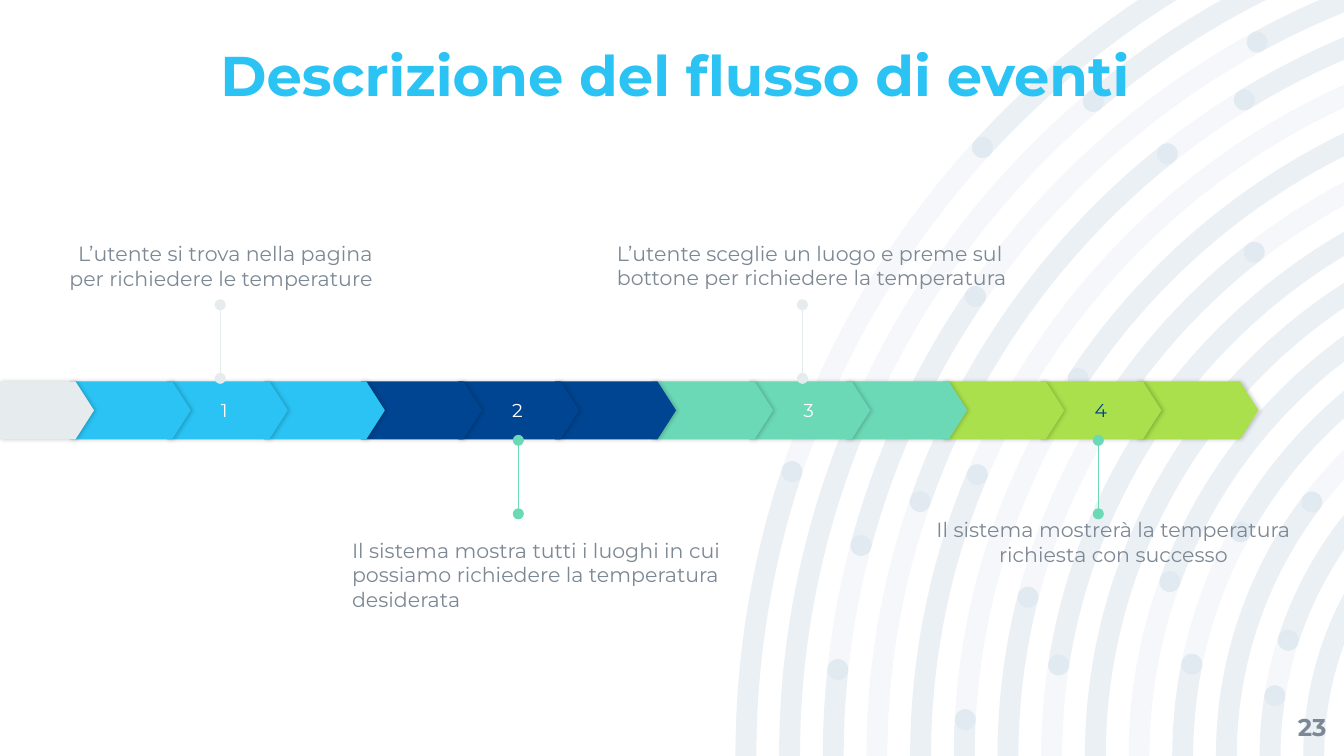
import dataclasses
import math

import pptx
import pptx.dml.color
import pptx.enum.shapes
import pptx.enum.text
import pptx.oxml
import pptx.oxml.ns
import pptx.util

Pt = pptx.util.Pt
ALIGN = pptx.enum.text.PP_ALIGN
ANCHOR = pptx.enum.text.MSO_ANCHOR
SHAPE = pptx.enum.shapes.MSO_SHAPE


@dataclasses.dataclass(frozen=True)
class Theme:
    font: str = "Montserrat"
    sky: str = "2AC3F3"
    navy: str = "004591"
    mint: str = "6BD8B6"
    lime: str = "A9E04B"
    mist: str = "E6ECEE"
    grey: str = "7C8894"
    white: str = "FFFFFF"
    title_size: float = 30
    number_size: float = 13
    label_size: float = 11
    step_size: float = 10


@dataclasses.dataclass(frozen=True)
class Box:
    left: float
    top: float
    width: float
    height: float

    def lengths(self):
        return Pt(self.left), Pt(self.top), Pt(self.width), Pt(self.height)


THEME = Theme()

RING_CENTRE = (882, 405)
RING_RADIUS, RING_STEP, RING_WIDTH, RING_COUNT = 482.4, 23.4, 11.2, 14
EDGE = 90
# Ring, start and end in degrees above the bottom edge; 0 and EDGE run off the page.
STRANDS = [
    (0, 0, 18.4), (0, 42.5, EDGE), (1, 0, 23.9), (1, 49.8, EDGE),
    (2, 0, 6.1), (2, 15, 34.4), (2, 61.4, EDGE),
    (3, 19.3, 51.5), (3, 58.5, EDGE), (4, 0, 22.8),
    (5, 0, 3.05), (5, 33.6, EDGE), (6, 0, 14.4), (6, 34.3, 52.1),
    (7, 8.8, EDGE), (8, 0, EDGE), (9, 20.1, EDGE),
    (10, 0, 11.4), (10, 28.9, EDGE), (11, 0, 37.2),
    (12, 0, 9.2), (12, 17.9, EDGE), (13, 0, EDGE),
]

CHEVRON_STEP, CHEVRON_WIDTH = 52, 64.8
# Fill, number colour, stem x, stem colour, label box, alignment, anchor, label.
STEPS = [
    (THEME.sky, THEME.white, 118, THEME.mist, Box(35.3, 103, 164.5, 52.6),
     ALIGN.RIGHT, ANCHOR.BOTTOM,
     "L’utente si trova nella pagina per richiedere le temperature"),
    (THEME.navy, THEME.white, 277.7, THEME.mint, Box(188.6, 288, 203, 41.8),
     ALIGN.LEFT, ANCHOR.TOP,
     "Il sistema mostra tutti i luoghi in cui possiamo richiedere la temperatura desiderata"),
    (THEME.mint, THEME.white, 429.9, THEME.mist, Box(330.5, 129, 230.4, 41.8),
     ALIGN.LEFT, ANCHOR.TOP,
     "L’utente sceglie un luogo e preme sul bottone per richiedere la temperatura"),
    (THEME.lime, THEME.navy, 588.4, THEME.mint, Box(481.7, 277.2, 229.7, 52.6),
     ALIGN.CENTER, ANCHOR.TOP,
     "Il sistema mostrerà la temperatura richiesta con successo"),
]


def colour(value):
    return pptx.dml.color.RGBColor.from_string(value)


def add_xml(parent, tag, content="", **attributes):
    values = "".join(f' {key}="{value}"' for key, value in attributes.items())
    parent.append(pptx.oxml.parse_xml(
        f'<a:{tag} {pptx.oxml.ns.nsdecls("a")}{values}>{content}</a:{tag}>'))


def write(shape, text, size, ink, align, anchor, bold=False, inset=0):
    frame = shape.text_frame
    frame.word_wrap = True
    frame.auto_size = pptx.enum.text.MSO_AUTO_SIZE.NONE
    frame.vertical_anchor = anchor
    frame.margin_left = Pt(inset)
    frame.margin_top = frame.margin_right = frame.margin_bottom = 0
    para = frame.paragraphs[0]
    para.alignment = align
    span = para.add_run()
    span.text = text
    span.font.name = THEME.font
    span.font.size = Pt(size)
    span.font.bold = bold
    span.font.color.rgb = colour(ink)
    return para


def on_circle(centre, radius, angle):
    """A point on a circle; 0 degrees is left and 90 is up."""
    turn = math.radians(angle)
    return centre[0] - radius * math.cos(turn), centre[1] - radius * math.sin(turn)


def ring_radius(ring):
    return RING_RADIUS - RING_STEP * ring


def ring_point(ring, angle):
    return on_circle(RING_CENTRE, ring_radius(ring), angle)


def strand_outline(box, ring, start, end):
    """Arcs around part of a ring, round where it ends inside the box."""
    half = RING_WIDTH / 2
    outer, inner = ring_radius(ring) + half, ring_radius(ring) - half
    right = box.left + box.width
    across = RING_CENTRE[0] - right

    def limit(radius):
        leave_top = math.asin(min(1, box.height / radius))
        leave_right = math.acos(across / radius)
        return min(end, math.degrees(min(leave_top, leave_right)))

    arcs = [(RING_CENTRE, outer, start, limit(outer))]
    if end < EDGE:
        arcs.append((ring_point(ring, end), half, end, end + 180))
    elif inner < math.hypot(across, box.height) < outer:
        arcs.append(((right, box.top), 0, 0, 0))
    arcs.append((RING_CENTRE, inner, limit(inner), start))
    if start > 0:
        arcs.append((ring_point(ring, start), half, start + 180, start + 360))
    return arcs


def dot_outline(ring, angle):
    centre = ring_point(ring, angle)
    return [(centre, RING_WIDTH / 2, turn, turn + 180) for turn in (0, 180)]


def draw_outline(track, box, arcs):
    """Add one closed outline; an arc of radius 0 is a corner."""
    for number, (centre, radius, start, end) in enumerate(arcs):
        x, y = on_circle(centre, radius, start)
        point = f'<a:pt x="{Pt(x - box.left)}" y="{Pt(y - box.top)}"/>'
        add_xml(track, "lnTo" if number else "moveTo", point)
        if radius:
            add_xml(track, "arcTo", wR=Pt(radius), hR=Pt(radius),
                    stAng=round((start + 180) % 360 * 60000),
                    swAng=round((end - start) * 60000))
    add_xml(track, "close")


def add_tint(page, box, outlines):
    """One faint shape made of several closed outlines."""
    left, top, width, height = box.lengths()
    builder = page.shapes.build_freeform(left, top)
    builder.add_line_segments([(left + width, top), (left + width, top + height),
                               (left, top + height)])
    shape = builder.convert_to_shape()
    shape.shadow.inherit = False
    shape.line.fill.background()
    shape.fill.solid()
    shape.fill.fore_color.rgb = colour(THEME.navy)
    properties = shape.element.spPr
    add_xml(properties.find(".//" + pptx.oxml.ns.qn("a:srgbClr")), "alpha", val=4000)
    track = properties.find(".//" + pptx.oxml.ns.qn("a:path"))
    for command in list(track):
        track.remove(command)
    for arcs in outlines:
        draw_outline(track, box, arcs)


def add_rings(page, box):
    ends = [(ring, angle) for ring, *angles in STRANDS
            for angle in angles if 0 < angle < EDGE]
    add_tint(page, box, [strand_outline(box, ring, 0, EDGE) for ring in range(RING_COUNT)])
    add_tint(page, box, [strand_outline(box, *strand) for strand in STRANDS])
    add_tint(page, box, [dot_outline(*end) for end in ends])


def add_title(page, box, text):
    title = page.shapes.title
    page.shapes.element.append(title.element)
    title.left, title.top, title.width, title.height = box.lengths()
    para = write(title, text, THEME.title_size, THEME.sky, ALIGN.CENTER, ANCHOR.BOTTOM, True)
    para.line_spacing = 0.9


def add_text(page, box, *style):
    write(page.shapes.add_textbox(*box.lengths()), *style)


def add_chevron(page, box, fill):
    shape = page.shapes.add_shape(SHAPE.PENTAGON, *box.lengths())
    shape.adjustments[0] = 0.32
    shape.fill.solid()
    shape.fill.fore_color.rgb = colour(fill)
    shape.line.fill.background()
    shape.shadow.inherit = False
    add_xml(shape.element.spPr.find(pptx.oxml.ns.qn("a:effectLst")), "outerShdw",
            '<a:srgbClr val="000000"><a:alpha val="20000"/></a:srgbClr>',
            blurRad=Pt(2.2), dist=Pt(0.8), dir=0, algn="l", rotWithShape=0)
    return shape


def add_timeline(page, box):
    """Three chevrons a step, stacked so that each one covers the next."""
    for place in reversed(range(3 * len(STEPS))):
        step, part = divmod(place, 3)
        fill, ink = STEPS[step][:2]
        left = box.left + 37.4 + CHEVRON_STEP * place
        chevron = add_chevron(page, Box(left, box.top, CHEVRON_WIDTH, box.height), fill)
        if part == 1:
            write(chevron, str(step + 1), THEME.step_size, ink,
                  ALIGN.LEFT, ANCHOR.MIDDLE, inset=29)
    add_chevron(page, Box(box.left, box.top, 50.4, box.height), THEME.mist)


def add_stem(page, x, top, bottom, ink):
    stem = page.shapes.add_connector(
        pptx.enum.shapes.MSO_CONNECTOR.STRAIGHT, Pt(x), Pt(bottom), Pt(x), Pt(top))
    stem.line.width = Pt(0.75)
    stem.line.color.rgb = colour(ink)
    outline = stem.element.spPr.find(pptx.oxml.ns.qn("a:ln"))
    for tag in ("headEnd", "tailEnd"):
        add_xml(outline, tag, type="oval")
    add_xml(stem.element.spPr, "effectLst")


def add_labels(page, timeline):
    for number, (_, _, x, ink, box, align, anchor, text) in enumerate(STEPS):
        top = timeline.top - 41 if number % 2 == 0 else timeline.top + timeline.height + 0.5
        add_stem(page, x, top, top + 39.4, ink)
        add_text(page, box, text, THEME.label_size, THEME.grey, align, anchor)


def main():
    deck = pptx.Presentation()
    deck.slide_width, deck.slide_height = Pt(720), Pt(405)
    page = deck.slides.add_slide(deck.slide_layouts[5])
    timeline = Box(0, 204.3, 674, 31.1)
    add_rings(page, Box(394, 0, 326, 405))
    add_title(page, Box(69, 27.4, 585.4, 31), "Descrizione del flusso di eventi")
    add_text(page, Box(667.4, 373.7, 43.2, 31), "23", THEME.number_size, THEME.grey,
             ALIGN.RIGHT, ANCHOR.MIDDLE, True)
    add_timeline(page, timeline)
    add_labels(page, timeline)
    deck.save("out.pptx")


if __name__ == "__main__":
    main()
